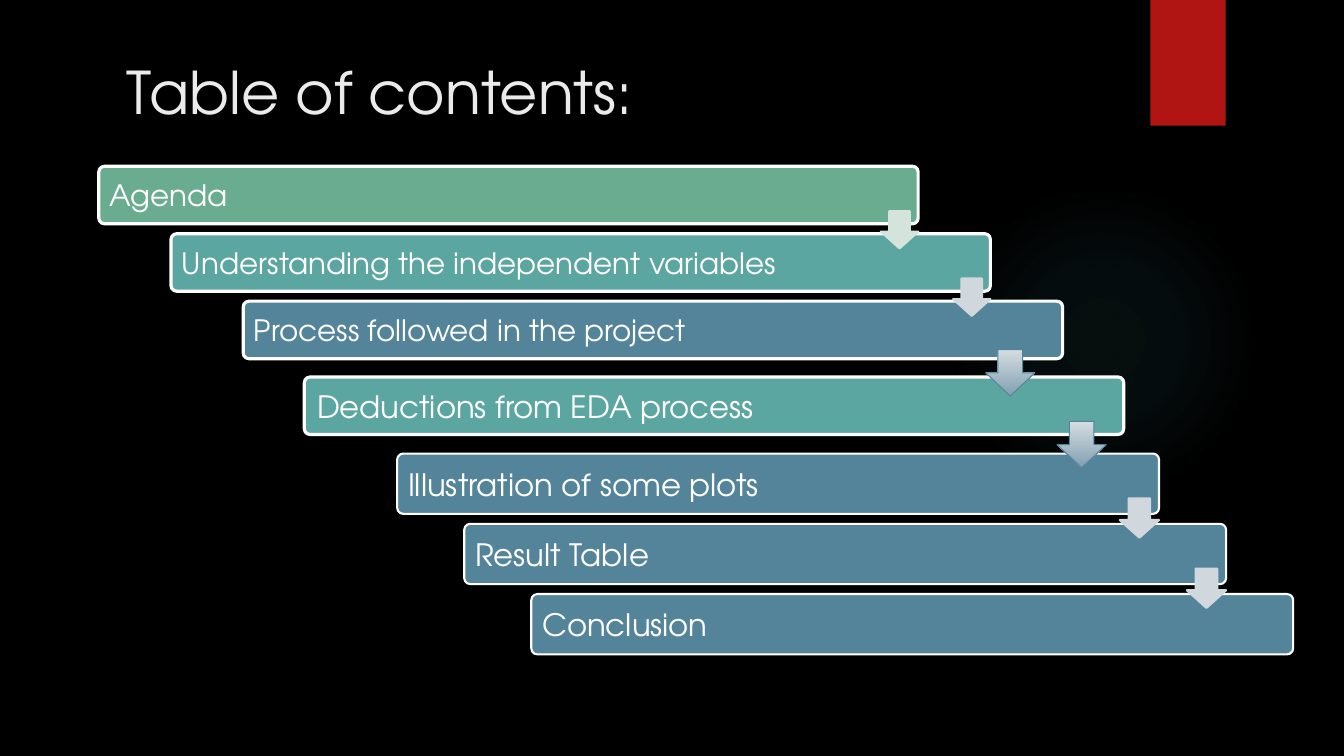
import pptx
import pptx.util
import pptx.dml.color
import pptx.enum.shapes
import pptx.enum.text
import pptx.oxml
import pptx.oxml.ns

Cm = pptx.util.Cm
Pt = pptx.util.Pt
RGBColor = pptx.dml.color.RGBColor
Shape = pptx.enum.shapes.MSO_SHAPE
Anchor = pptx.enum.text.MSO_ANCHOR
Align = pptx.enum.text.PP_ALIGN

BLACK = RGBColor(0x00, 0x00, 0x00)
WHITE = RGBColor(0xFF, 0xFF, 0xFF)
OFF_WHITE = RGBColor(0xEB, 0xEB, 0xEB)
RED = RGBColor(0xB0, 0x15, 0x13)
GLOW = RGBColor(0x50, 0xB9, 0xC1)
GREEN = RGBColor(0x6A, 0xAC, 0x90)
TEAL = RGBColor(0x5C, 0xA6, 0xA1)
BLUE = RGBColor(0x54, 0x84, 0x9A)
PALE_GREEN = RGBColor(0xD4, 0xE3, 0xDB)
PALE_GREY = RGBColor(0xD1, 0xD8, 0xDD)
STEEL_LIGHT = RGBColor(0xD5, 0xDD, 0xE2)
STEEL_DARK = RGBColor(0x81, 0xA0, 0xB0)


class ContentsSlide:
    font_name = "TeX Gyre Adventor"

    def __init__(self, presentation):
        self.slide = presentation.slides.add_slide(presentation.slide_layouts[5])
        background = self.slide.background.fill
        background.solid()
        background.fore_color.rgb = BLACK

    def shape(self, kind, left, top, width, height, color):
        shape = self.slide.shapes.add_shape(kind, Cm(left), Cm(top), Cm(width), Cm(height))
        shape.shadow.inherit = False
        shape.fill.solid()
        shape.fill.fore_color.rgb = color
        shape.line.fill.background()
        return shape

    def outline(self, shape, color, width):
        shape.line.color.rgb = color
        shape.line.width = Pt(width)

    def format_text(self, paragraph, text, size, color):
        paragraph.text = text
        paragraph.alignment = Align.LEFT
        paragraph.font.name = self.font_name
        paragraph.font.size = Pt(size)
        paragraph.font.color.rgb = color

    def title(self, text):
        title = self.slide.shapes.title
        title.left, title.top, title.width, title.height = Cm(1.8), Cm(1.27), Cm(26.14), Cm(3.89)
        frame = title.text_frame
        frame.vertical_anchor = Anchor.TOP
        frame.margin_left = Cm(1.4)
        self.format_text(frame.paragraphs[0], text, 42, OFF_WHITE)

    def glow(self, left, top, diameter):
        """Draw a faint circle that fades out from its centre."""
        shape = self.shape(Shape.OVAL, left, top, diameter, diameter, GLOW)
        stops = "".join(
            f'<a:gs pos="{position * 1000}"><a:srgbClr val="{GLOW}">'
            f'<a:alpha val="{opacity * 1000}"/></a:srgbClr></a:gs>'
            for position, opacity in ((0, 7), (36, 6), (69, 0))
        )
        gradient = pptx.oxml.parse_xml(
            f'<a:gradFill {pptx.oxml.ns.nsdecls("a")}><a:gsLst>{stops}</a:gsLst>'
            '<a:path path="circle"><a:fillToRect l="50000" t="50000" r="50000" b="50000"/>'
            "</a:path></a:gradFill>"
        )
        properties = shape.element.spPr
        solid = properties.find(pptx.oxml.ns.qn("a:solidFill"))
        properties.replace(solid, gradient)

    def bar(self, text, left, top, width, height, color, size, line_width, inset=0.23):
        shape = self.shape(Shape.ROUNDED_RECTANGLE, left, top, width, height, color)
        shape.adjustments[0] = 0.1
        self.outline(shape, WHITE, line_width)
        frame = shape.text_frame
        frame.word_wrap = True
        frame.vertical_anchor = Anchor.MIDDLE
        frame.margin_left = Cm(inset)
        frame.margin_right = frame.margin_top = frame.margin_bottom = Cm(0.23)
        self.format_text(frame.paragraphs[0], text, size, WHITE)

    def pale_arrow(self, right, top, side, color):
        shape = self.shape(Shape.DOWN_ARROW, right - side, top, side, side, color)
        shape.adjustments[0] = 0.55
        shape.adjustments[1] = 0.45
        self.outline(shape, color, 1.5)

    def steel_arrow(self, left, top):
        shape = self.shape(Shape.DOWN_ARROW, left, top, 1.24, 1.17, STEEL_DARK)
        shape.fill.gradient()
        shape.fill.gradient_angle = 270
        for stop, color in zip(shape.fill.gradient_stops, (STEEL_LIGHT, STEEL_DARK)):
            stop.color.rgb = color
        self.outline(shape, BLUE, 0.75)

    def cascade(self, items, left, top, step, size, font_size, line_width, arrow_side, arrow_colors):
        """Draw bars stepping down to the right, then the arrows that join them."""
        width, height = size
        places = [(left + i * step[0], top + i * step[1]) for i in range(len(items))]
        for (text, color), (x, y) in zip(items, places):
            self.bar(text, x, y, width, height, color, font_size, line_width)
        for color, (x, y) in zip(arrow_colors, places):
            self.pale_arrow(x + width, y + 1.13, arrow_side, color)


def main():
    presentation = pptx.Presentation()
    presentation.slide_width = Cm(33.87)
    presentation.slide_height = Cm(19.05)
    contents = ContentsSlide(presentation)

    # Backdrop and title
    contents.glow(23.9, 4.65, 7.82)
    contents.shape(Shape.RECTANGLE, 28.99, 0, 1.9, 3.17, RED)
    contents.title("Table of contents:")

    # First three topics
    contents.cascade(
        [
            ("Agenda", GREEN),
            ("Understanding the independent variables", TEAL),
            ("Process followed in the project", BLUE),
        ],
        left=2.49, top=4.19, step=(1.82, 1.7), size=(20.65, 1.45),
        font_size=21, line_width=2.25, arrow_side=0.94,
        arrow_colors=[PALE_GREEN, PALE_GREY],
    )

    # Last three topics
    contents.cascade(
        [("Illustration of some plots", BLUE), ("Result Table", BLUE), ("Conclusion", BLUE)],
        left=10.01, top=11.43, step=(1.69, 1.77), size=(19.2, 1.52),
        font_size=22, line_width=1.5, arrow_side=0.99,
        arrow_colors=[PALE_GREY, PALE_GREY],
    )

    # Middle topic, linked to both cascades
    contents.bar("Deductions from EDA process", 7.67, 9.5, 20.65, 1.45, TEAL, 22, 2.25, inset=0.28)
    contents.steel_arrow(24.84, 8.81)
    contents.steel_arrow(26.64, 10.62)

    presentation.save("out.pptx")


if __name__ == "__main__":
    main()
